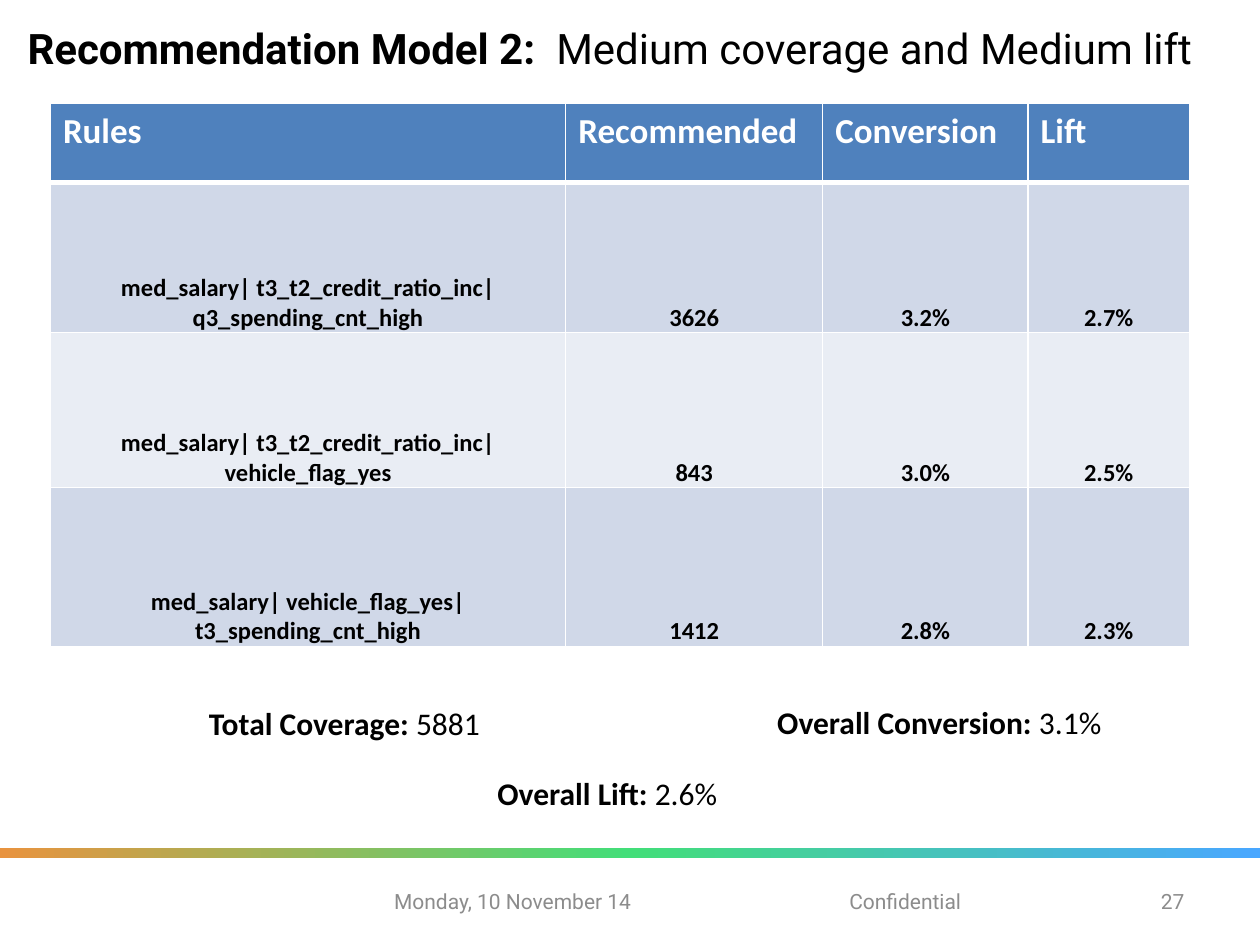
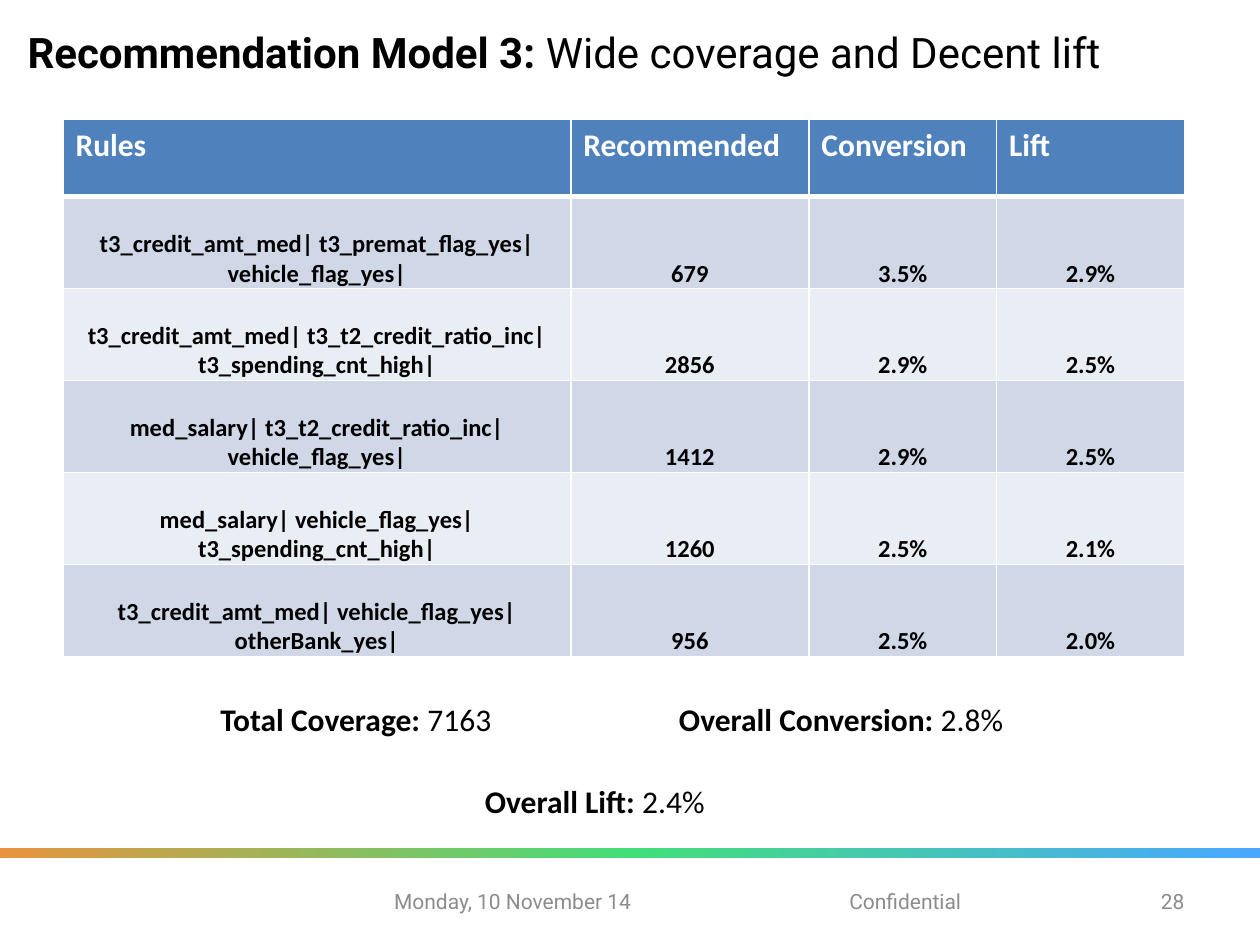
from copy import deepcopy

from pptx import Presentation
from pptx.dml.color import RGBColor
from pptx.enum.shapes import MSO_SHAPE
from pptx.enum.text import MSO_ANCHOR as Anchor, MSO_AUTO_SIZE as AutoSize, PP_ALIGN as Align
from pptx.oxml import parse_xml
from pptx.oxml.ns import nsdecls
from pptx.util import Inches, Pt

COLOURS = {
    "text": "000000", "footer": "8C8C8C", "white": "FFFFFF",
    "header": "4F81BD", "odd_row": "D0D8E8", "even_row": "E9EDF4",
    "band_left": "E8933F", "band_middle": "43DE79", "band_right": "49A7FF",
}
HEADINGS = ["Rules", "Recommended", "Conversion", "Lift"]

MODELS = [
    {
        "title": ("Recommendation Model 2:  ", "Medium coverage and Medium lift"),
        "title_box": (0.12, 0.13, 9.88, 0.5),
        "table_box": (0.4, 0.82, 9.05, 4.3),
        "columns": [4.09, 2.04, 1.63, 1.28],
        "rows": [0.63, 1.19, 1.23, 1.26],
        "header_size": 20,
        "rules": [
            ("med_salary| t3_t2_credit_ratio_inc| q3_spending_cnt_high", "3626", "3.2%", "2.7%"),
            ("med_salary| t3_t2_credit_ratio_inc| vehicle_flag_yes", "843", "3.0%", "2.5%"),
            ("med_salary| vehicle_flag_yes| t3_spending_cnt_high", "1412", "2.8%", "2.3%"),
        ],
        "totals": [
            ("Overall Lift: ", "2.6%", (3.85, 6.09, 1.97, 0.4)),
            ("Overall Conversion: ", "3.1%", (6.07, 5.53, 2.82, 0.4)),
            ("Total Coverage: ", "5881", (1.56, 5.54, 2.37, 0.4)),
        ],
        "number": "27",
    },
    {
        "title": ("Recommendation Model 3: ", "Wide coverage and Decent lift"),
        "title_box": (0.12, 0.16, 9.61, 0.5),
        "table_box": (0.5, 0.95, 8.9, 4.27),
        "columns": [4.03, 1.89, 1.49, 1.49],
        "rows": [0.61] + [0.73] * 5,
        "header_size": 18,
        "rules": [
            ("t3_credit_amt_med| t3_premat_flag_yes| vehicle_flag_yes|", "679", "3.5%", "2.9%"),
            ("t3_credit_amt_med| t3_t2_credit_ratio_inc| t3_spending_cnt_high|", "2856", "2.9%", "2.5%"),
            ("med_salary| t3_t2_credit_ratio_inc| vehicle_flag_yes|", "1412", "2.9%", "2.5%"),
            ("med_salary| vehicle_flag_yes| t3_spending_cnt_high|", "1260", "2.5%", "2.1%"),
            ("t3_credit_amt_med| vehicle_flag_yes| otherBank_yes|", "956", "2.5%", "2.0%"),
        ],
        "totals": [
            ("Overall Lift: ", "2.4%", (3.75, 6.16, 2.03, 0.4)),
            ("Overall Conversion: ", "2.8%", (5.29, 5.51, 2.82, 0.4)),
            ("Total Coverage: ", "7163", (1.65, 5.51, 2.49, 0.4)),
        ],
        "number": "28",
    },
]


def rgb(name):
    return RGBColor.from_string(COLOURS[name])


def inches(box):
    return [Inches(length) for length in box]


def style_span(span, font, size, colour, bold):
    span.font.name = font
    span.font.size = Pt(size)
    span.font.bold = bold
    span.font.color.rgb = rgb(colour)


def add_text(page, box, spans, font, size, colour="text", align=Align.LEFT,
             anchor=Anchor.MIDDLE, wrap=True):
    """Add one paragraph made of (text, bold) spans."""
    frame = page.shapes.add_textbox(*inches(box)).text_frame
    frame.word_wrap = wrap
    frame.auto_size = AutoSize.NONE if wrap else AutoSize.SHAPE_TO_FIT_TEXT
    frame.vertical_anchor = anchor
    para = frame.paragraphs[0]
    para.alignment = align
    for text, bold in spans:
        span = para.add_run()
        span.text = text
        style_span(span, font, size, colour, bold)


def add_band(page, box):
    band = page.shapes.add_shape(MSO_SHAPE.RECTANGLE, *inches(box))
    band.shadow.inherit = False
    band.line.fill.background()
    band.fill.gradient()
    band.fill.gradient_angle = 0
    first = band.fill._fill._gradFill.gsLst[0]
    first.addnext(deepcopy(first))
    names = ["band_left", "band_middle", "band_right"]
    for index, (stop, name) in enumerate(zip(band.fill.gradient_stops, names)):
        stop.position = index / 2
        stop.color.rgb = rgb(name)


def add_footer(page, box, number):
    left, top, width, height = box
    parts = [
        ("Monday, 10 November 14", 0, 2.33, Align.LEFT),
        ("Confidential", 2.57, 3.17, Align.CENTER),
        (number, width - 0.5, 0.5, Align.RIGHT),
    ]
    for text, offset, part_width, align in parts:
        add_text(page, (left + offset, top, part_width, height), [(text, False)],
                 "Roboto", 12, "footer", align)


def set_borders(cell, top, bottom):
    properties = cell._tc.get_or_add_tcPr()
    for side, points in (("L", 1), ("R", 1), ("T", top), ("B", bottom)):
        properties.append(parse_xml(
            f'<a:ln{side} {nsdecls("a")} w="{Pt(points)}"><a:solidFill>'
            f'<a:srgbClr val="{COLOURS["white"]}"/></a:solidFill></a:ln{side}>'))


def fill_cell(cell, text, row, header_size):
    set_borders(cell, 3 if row == 1 else 1, 3 if row == 0 else 1)
    cell.fill.solid()
    cell.text = text
    para = cell.text_frame.paragraphs[0]
    if row == 0:
        cell.fill.fore_color.rgb = rgb("header")
        style_span(para.runs[0], "Calibri", header_size, "white", True)
        return
    cell.fill.fore_color.rgb = rgb("odd_row" if row % 2 else "even_row")
    cell.vertical_anchor = Anchor.BOTTOM
    cell.margin_left = cell.margin_right = cell.margin_top = Inches(0.01)
    cell.margin_bottom = 0
    para.alignment = Align.CENTER
    style_span(para.runs[0], "Calibri", 14, "text", True)


def add_rules_table(page, box, model):
    lines = [HEADINGS] + model["rules"]
    table = page.shapes.add_table(len(lines), len(HEADINGS), *inches(box)).table
    for column, width in zip(table.columns, model["columns"]):
        column.width = Inches(width)
    for row, height in zip(table.rows, model["rows"]):
        row.height = Inches(height)
    for row, line in enumerate(lines):
        for column, text in enumerate(line):
            fill_cell(table.cell(row, column), text, row, model["header_size"])


def add_model_page(deck, model):
    page = deck.slides.add_slide(deck.slide_layouts[6])
    add_band(page, (0, 6.73, 10, 0.08))
    name, summary = model["title"]
    add_text(page, model["title_box"], [(name, True), (summary, False)], "Roboto", 24)
    add_rules_table(page, model["table_box"], model)
    for label, value, box in model["totals"]:
        add_text(page, box, [(label, True), (value, False)], "Calibri", 18,
                 anchor=Anchor.TOP, wrap=False)
    add_footer(page, (3.03, 6.95, 6.47, 0.4), model["number"])


def main():
    deck = Presentation()
    deck.slide_width, deck.slide_height = Inches(10), Inches(7.5)
    for model in MODELS:
        add_model_page(deck, model)
    deck.save("out.pptx")


if __name__ == "__main__":
    main()
